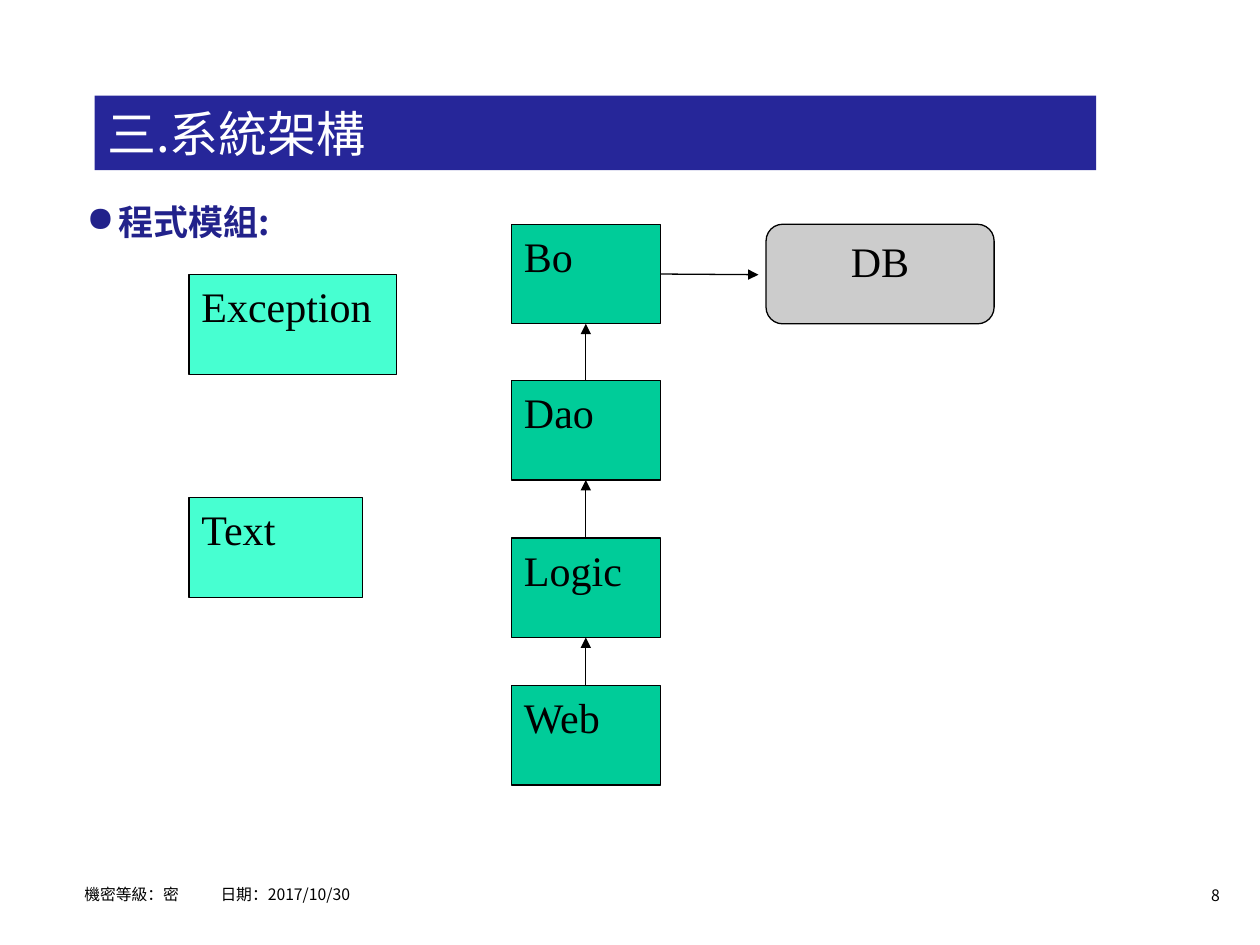
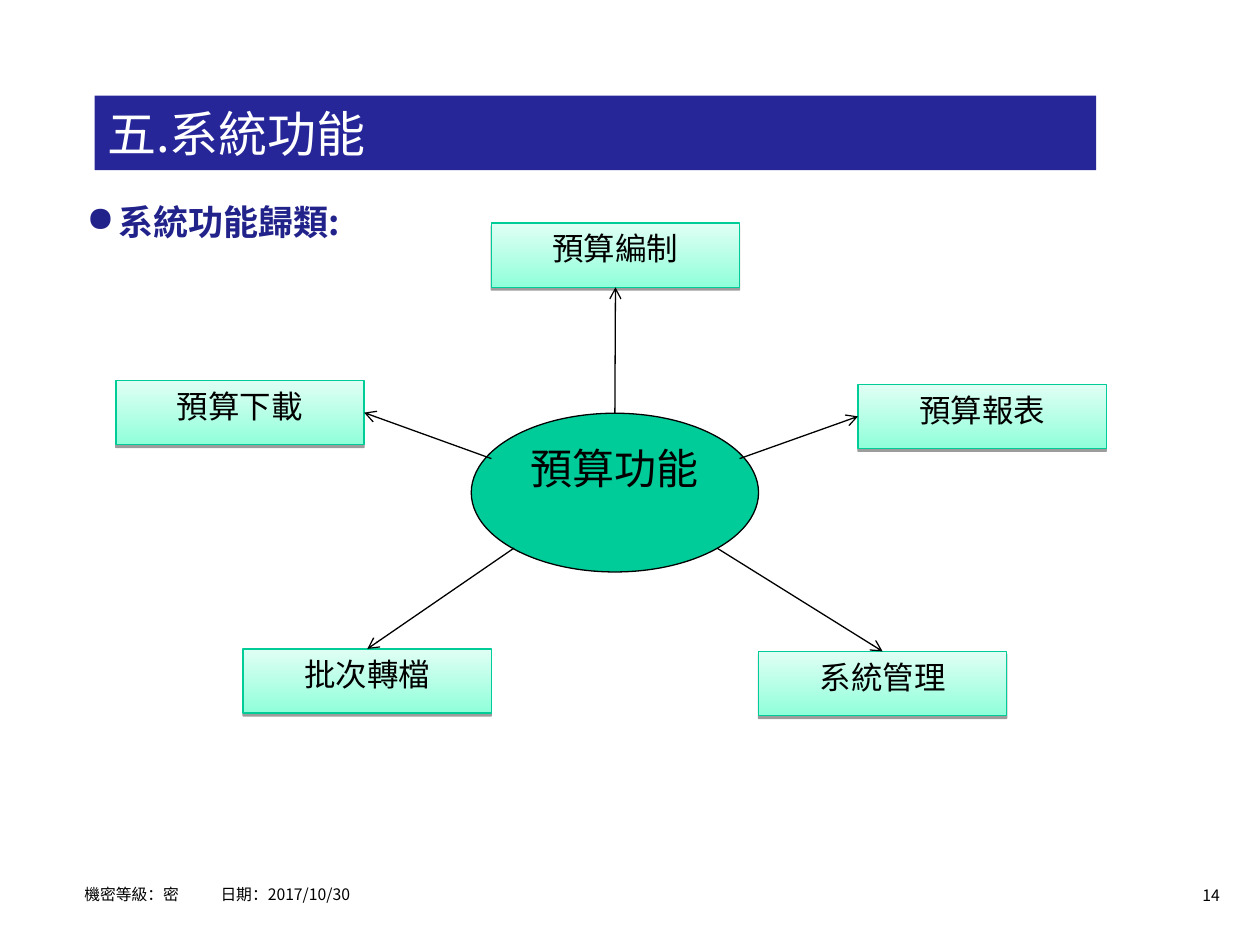
from dataclasses import dataclass
from pptx import Presentation
from pptx.dml.color import RGBColor
from pptx.enum.shapes import MSO_CONNECTOR as Conn, MSO_SHAPE as Geo
from pptx.enum.text import MSO_ANCHOR as Anchor, MSO_AUTO_SIZE as Auto, PP_ALIGN as Align
from pptx.oxml import parse_xml
from pptx.oxml.ns import nsdecls
from pptx.util import Inches, Pt

SANS, SERIF = "Noto Sans CJK SC", "Times New Roman"
BLACK, WHITE, NAVY, INK = "000000", "FFFFFF", "262699", "22228B"
GREEN, MINT, GREY = "00CC99", "47FFD1", "CCCCCC"
EDGE, DEEP, PALE = "00CC98", "90FFDA", "E0FFF4"
TOP, LEFT, BOTTOM, RIGHT = range(4)


@dataclass
class Node:
    text: str
    x: float
    y: float
    w: float
    h: float
    fill: str
    geo: Geo = Geo.RECTANGLE
    size: int = 24
    font: str = SERIF
    align: Align = Align.LEFT


def rgb(code: str) -> RGBColor:
    return RGBColor.from_string(code)


def lens(*vals: float) -> list:
    return [Inches(v) for v in vals]


def xml(tag: str, rest: str):
    return parse_xml(f"<a:{tag} {nsdecls('a')}{rest}")


def write(par, text: str, size: int, font: str = SANS,
          color: str = BLACK, bold: bool = False) -> None:
    run = par.add_run()
    run.text = text
    run.font.size, run.font.bold = Pt(size), bold
    run.font.color.rgb = rgb(color)
    run.font.name = font
    run.font._element.append(xml("ea", f' typeface="{font}"/>'))


def box(slide, x: float, y: float, w: float, h: float):
    frame = slide.shapes.add_textbox(*lens(x, y, w, h)).text_frame
    frame.word_wrap = True
    return frame


# Shared parts: title band, heading, footer
def base(deck, title: str, head: str, page: int):
    slide = deck.slides.add_slide(deck.slide_layouts[5])
    band = slide.shapes.title
    band.left, band.top, band.width, band.height = lens(0.75, 0.76, 7.95, 0.59)
    band.fill.solid()
    band.fill.fore_color.rgb = rgb(NAVY)
    frame = band.text_frame
    frame.auto_size, frame.vertical_anchor = Auto.NONE, Anchor.MIDDLE
    par = frame.paragraphs[0]
    par.alignment = Align.LEFT
    write(par, title, 28, color=WHITE)

    par = box(slide, 0.59, 1.54, 8.74, 5.46).paragraphs[0]
    props = par._p.get_or_add_pPr()
    props.set("marL", str(Inches(0.25)))
    props.set("indent", str(Inches(-0.25)))
    props.append(xml("buClr", f'><a:srgbClr val="{INK}"/></a:buClr>'))
    props.append(xml("buChar", ' char="●"/>'))
    write(par, head, 20, color=INK, bold=True)

    frame = box(slide, 0.67, 6.9, 7.42, 0.31)
    frame.margin_left = 0
    par = frame.paragraphs[0]
    par._p.get_or_add_pPr().append(
        xml("tabLst", f'><a:tab pos="{Inches(1.08)}" algn="l"/></a:tabLst>'))
    par.line_spacing = 1.5
    write(par, "機密等級：密\t日期：2017/10/30", 9)

    par = box(slide, 9.1, 6.98, 0.68, 0.25).paragraphs[0]
    par.alignment = Align.RIGHT
    write(par, str(page), 9)
    return slide


def draw(slide, node: Node):
    shape = slide.shapes.add_shape(node.geo, *lens(node.x, node.y, node.w, node.h))
    shape.shadow.inherit = False
    shape.fill.solid()
    shape.fill.fore_color.rgb = rgb(node.fill)
    shape.line.color.rgb = rgb(BLACK)
    shape.line.width = Pt(0.75)
    frame = shape.text_frame
    frame.word_wrap, frame.vertical_anchor = True, Anchor.TOP
    par = frame.paragraphs[0]
    par.alignment = node.align
    write(par, node.text, node.size, node.font)
    return shape


def glow(shape) -> None:
    """Give a box its soft green gradient and lower shadow."""
    shape.fill.gradient()
    shape.fill.gradient_angle = 90
    for stop, color in zip(shape.fill.gradient_stops, (DEEP, PALE)):
        stop.color.rgb = rgb(color)
    shape.line.color.rgb = rgb(EDGE)
    shape._element.spPr.find(".//{*}effectLst").append(xml(
        "outerShdw", f' blurRad="0" dist="{Pt(1.6)}" dir="5400000" rotWithShape="0">'
        f'<a:srgbClr val="{BLACK}"><a:alpha val="38000"/></a:srgbClr></a:outerShdw>'))


def arrow(slide, start: tuple, end: tuple, tip: str):
    """Each end is an (x, y) point or a (shape, side) pair."""
    line = slide.shapes.add_connector(Conn.STRAIGHT, *lens(0, 0, 0, 0))
    if isinstance(start[0], (int, float)):
        line.begin_x, line.begin_y = lens(*start)
    else:
        line.begin_connect(*start)
    if isinstance(end[0], (int, float)):
        line.end_x, line.end_y = lens(*end)
    else:
        line.end_connect(*end)
    line.line.color.rgb = rgb(BLACK)
    line.line.width = Pt(0.75)
    line.line._get_or_add_ln().append(xml("tailEnd", f' type="{tip}"/>'))
    line._element.spPr.append(xml("effectLst", "/>"))


# Program modules
def modules(deck) -> None:
    slide = base(deck, "三.系統架構", "程式模組:", 8)
    high = 0.79
    stack = [draw(slide, Node(name, 4.06, y, 1.18, high, GREEN))
             for name, y in (("Bo", 1.78), ("Dao", 3.02), ("Logic", 4.27), ("Web", 5.44))]
    for name, y, wide in (("Text", 3.95, 1.38), ("Exception", 2.18, 1.65)):
        draw(slide, Node(name, 1.5, y, wide, high, MINT))
    for upper, lower in zip(stack, stack[1:]):
        arrow(slide, (lower, TOP), (upper, BOTTOM), "triangle")
    arrow(slide, (stack[0], RIGHT), (6.02, 2.18), "triangle")
    draw(slide, Node("DB", 6.08, 1.78, 1.81, high, GREY,
                     Geo.ROUNDED_RECTANGLE, align=Align.CENTER))


# System functions around a hub
def functions(deck) -> None:
    slide = base(deck, "五.系統功能", "系統功能歸類:", 14)
    hub = draw(slide, Node("預算功能", 3.74, 3.28, 2.28, 1.26, GREEN,
                           Geo.OVAL, font=SANS, align=Align.CENTER))
    spokes = (
        ("預算編制", 3.9, 1.77, (hub, TOP), BOTTOM),
        ("預算下載", 0.92, 3.02, (3.9, 3.64), RIGHT),
        ("預算報表", 6.81, 3.05, (5.87, 3.64), LEFT),
        ("系統管理", 6.02, 5.17, (5.69, 4.35), TOP),
        ("批次轉檔", 1.93, 5.15, (4.08, 4.35), TOP),
    )
    for name, x, y, start, side in spokes:
        shape = draw(slide, Node(name, x, y, 1.97, 0.51, PALE,
                                 size=18, font=SANS, align=Align.CENTER))
        glow(shape)
        arrow(slide, start, (shape, side), "arrow")


def main() -> None:
    deck = Presentation()
    deck.slide_width, deck.slide_height = lens(10, 7.5)
    modules(deck)
    functions(deck)
    deck.save("out.pptx")


if __name__ == "__main__":
    main()
